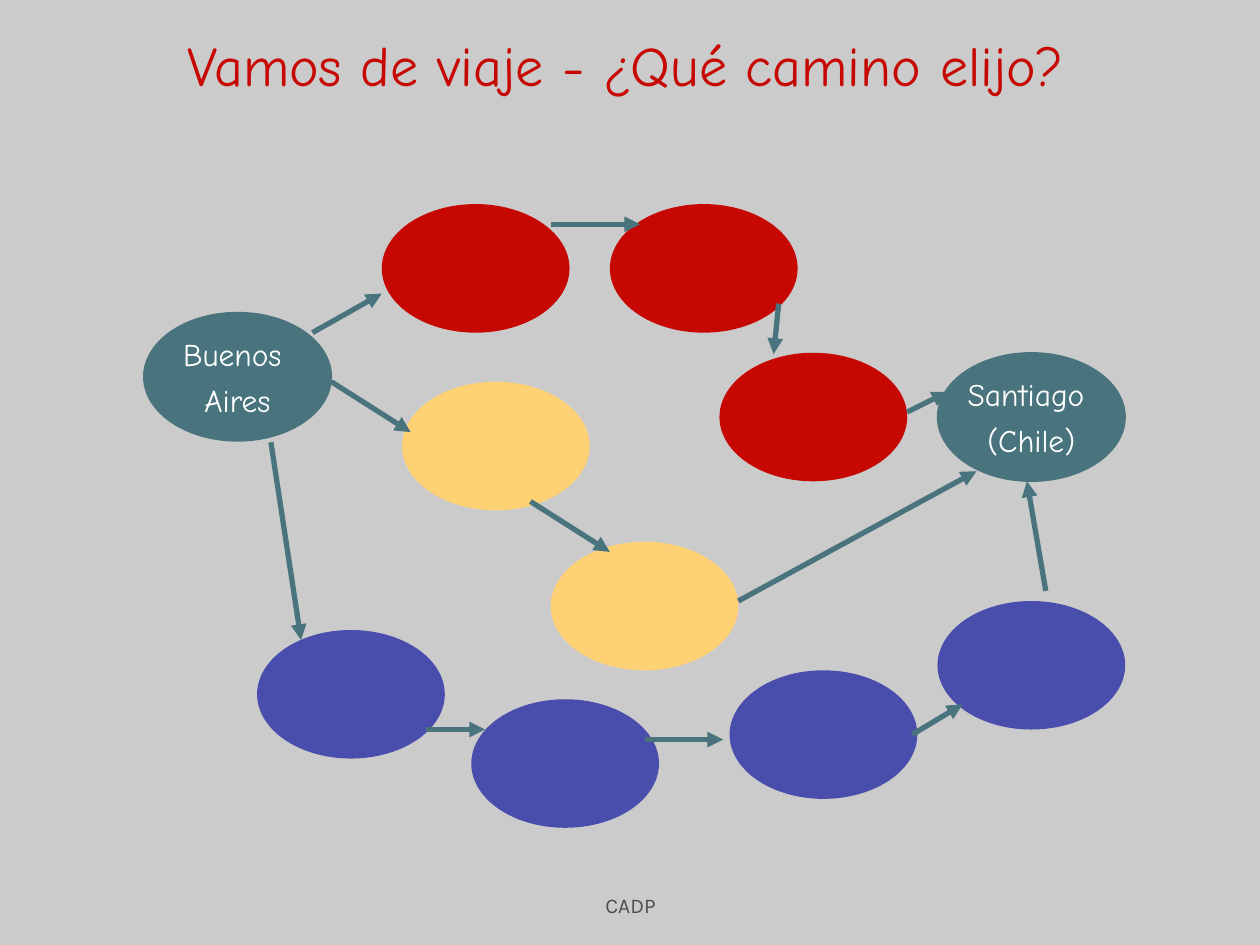
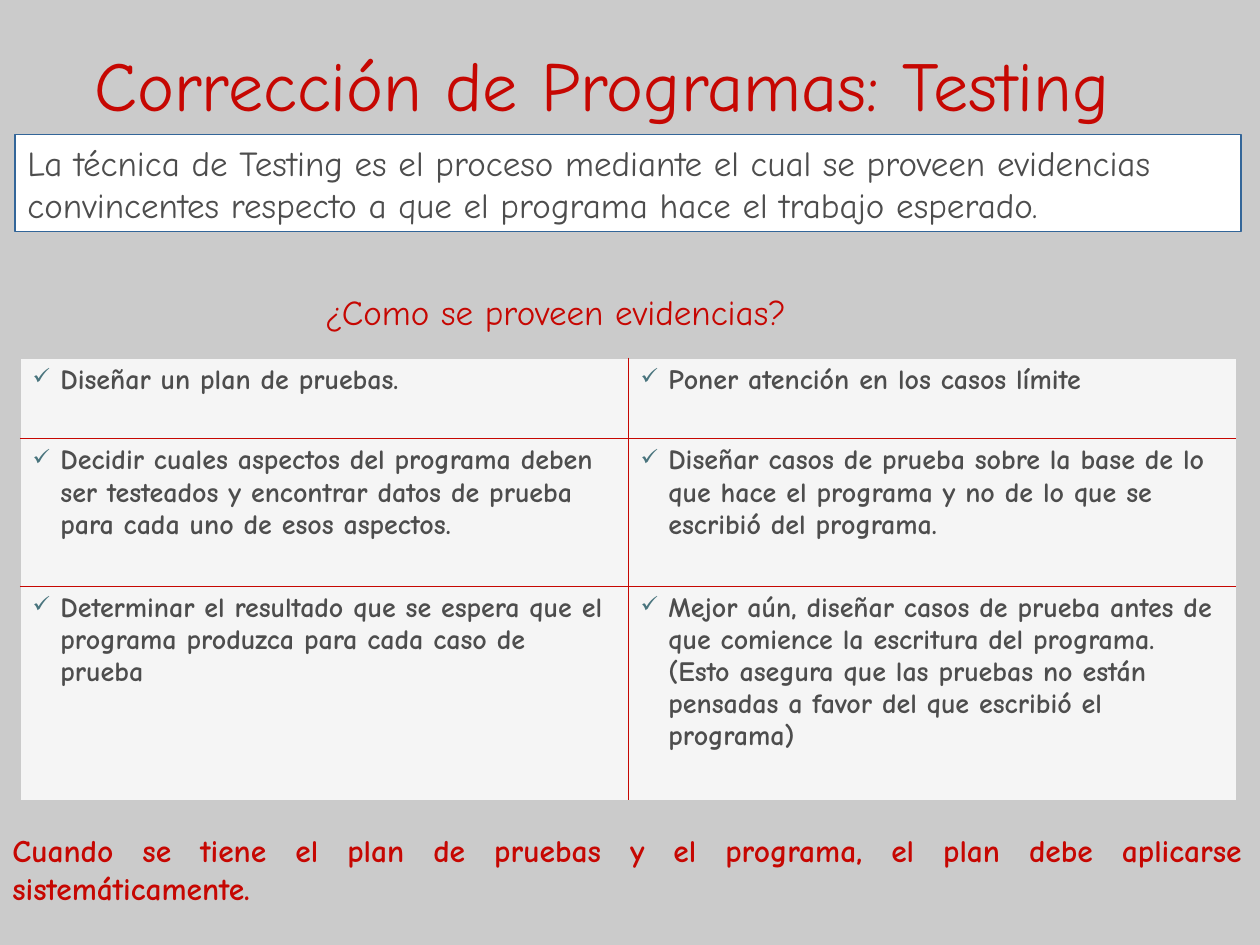
from lxml import etree
from pptx import Presentation
from pptx.dml.color import RGBColor
from pptx.enum.shapes import MSO_CONNECTOR, MSO_SHAPE
from pptx.enum.text import MSO_ANCHOR, PP_ALIGN
from pptx.oxml.ns import qn
from pptx.util import Inches, Pt

OVAL, RECTANGLE, STRAIGHT = MSO_SHAPE.OVAL, MSO_SHAPE.RECTANGLE, MSO_CONNECTOR.STRAIGHT
TOP, MIDDLE, BOTTOM = MSO_ANCHOR.TOP, MSO_ANCHOR.MIDDLE, MSO_ANCHOR.BOTTOM
LEFT, CENTER, JUSTIFY = PP_ALIGN.LEFT, PP_ALIGN.CENTER, PP_ALIGN.JUSTIFY

GRAY = RGBColor(0xCB, 0xCB, 0xCB)
RED = RGBColor(0xC6, 0x07, 0x02)
TEAL = RGBColor(0x49, 0x74, 0x7D)
YELLOW = RGBColor(0xFF, 0xD1, 0x75)
INDIGO = RGBColor(0x49, 0x4E, 0xAD)
INK = RGBColor(0x4D, 0x4D, 0x4D)
BLUE = RGBColor(0x33, 0x66, 0x99)
PAPER = RGBColor(0xF5, 0xF5, 0xF5)
WHITE = RGBColor(0xFF, 0xFF, 0xFF)
HAND, SANS = "Comic Neue", "Karla"

WIDTH, HEIGHT = 10, 7.5
CITY_SIZE = (1.49, 1.02)

ROUTE_TITLE = "Vamos de viaje - ¿Qué camino elijo?"
FOOTER = "CADP"
CITIES = [
    (1.14, 2.48, ["Buenos ", "Aires"]),
    (7.44, 2.8, ["Santiago ", "(Chile)"]),
]
STOPS = {
    RED: [(3.03, 1.62), (4.84, 1.62), (5.71, 2.8)],
    YELLOW: [(3.19, 3.03), (4.37, 4.3)],
    INDIGO: [(2.04, 5), (3.74, 5.55), (5.79, 5.32), (7.44, 4.77)],
}
ARROWS = [
    (2.48, 2.64, 3.03, 2.33), (4.37, 1.78, 5.08, 1.78),
    (6.18, 2.41, 6.14, 2.81), (7.2, 3.27, 7.52, 3.11),
    (2.63, 3.03, 3.26, 3.43), (4.21, 3.98, 4.84, 4.38), (5.86, 4.77, 7.75, 3.74),
    (2.15, 3.51, 2.39, 5.08), (3.38, 5.79, 3.85, 5.79), (5.12, 5.87, 5.74, 5.87),
    (7.24, 5.83, 7.64, 5.59), (8.3, 4.69, 8.15, 3.82),
]

TESTING_TITLE = "Corrección de Programas: Testing"
DEFINITION = ("La técnica de Testing es el proceso mediante el cual se proveen evidencias "
              "convincentes respecto a que el programa hace el trabajo esperado.")
QUESTION = "¿Como se proveen evidencias?"
PRACTICES = [
    ("Diseñar un plan de pruebas.",
     "Poner atención en los casos límite"),
    ("Decidir cuales aspectos del programa deben ser testeados y encontrar datos de prueba "
     "para cada uno de esos aspectos.",
     "Diseñar casos de prueba sobre la base de lo que hace el programa y no de lo que se "
     "escribió del programa."),
    ("Determinar el resultado que se espera que el programa produzca para cada caso de prueba",
     "Mejor aún, diseñar casos de prueba antes de que comience la escritura del programa. "
     "(Esto asegura que las pruebas no están pensadas a favor del que escribió el programa)"),
]
ROW_HEIGHTS = [0.64, 1.17, 1.7]
CONCLUSION = ("Cuando se tiene el plan de pruebas y el programa, el plan debe aplicarse "
              "sistemáticamente.")


def inches(values):
    return [Inches(value) for value in values]


def write(frame, lines, size, color, align=LEFT, anchor=TOP, font=HAND, bold=False,
          before=0, spacing=None, wrap=True):
    frame.word_wrap = wrap
    frame.vertical_anchor = anchor
    for index, line in enumerate(lines):
        paragraph = frame.paragraphs[0] if index == 0 else frame.add_paragraph()
        paragraph.alignment = align
        paragraph.space_before = Pt(before)
        if spacing:
            paragraph.line_spacing = spacing
        run = paragraph.add_run()
        run.text = line
        run.font.name, run.font.size, run.font.bold = font, Pt(size), bold
        run.font.color.rgb = color


def add_text(slide, box, text, size, color, **style):
    write(slide.shapes.add_textbox(*inches(box)).text_frame, [text], size, color, **style)


def add_filled(slide, kind, box, fill, line=None):
    shape = slide.shapes.add_shape(kind, *inches(box))
    shape.shadow.inherit = False
    shape.fill.solid()
    shape.fill.fore_color.rgb = fill
    if line is None:
        shape.line.fill.background()
    else:
        shape.line.color.rgb = line
        shape.line.width = Pt(0.75)
    return shape


def add_arrow(slide, ends):
    arrow = slide.shapes.add_connector(STRAIGHT, *inches(ends))
    arrow.line.color.rgb = TEAL
    arrow.line.width = Pt(3)
    etree.SubElement(arrow.line._get_or_add_ln(), qn("a:tailEnd"), type="triangle")
    etree.SubElement(arrow._element.spPr, qn("a:effectLst"))


def add_check(paragraph):
    properties = paragraph._p.get_or_add_pPr()
    indent = Inches(0.22)
    properties.set("marL", str(indent))
    properties.set("indent", str(-indent))
    color = etree.SubElement(properties, qn("a:buClr"))
    etree.SubElement(color, qn("a:srgbClr"), val=str(TEAL))
    etree.SubElement(properties, qn("a:buSzPct"), val="80000")
    etree.SubElement(properties, qn("a:buChar"), char="✓")


def set_borders(cell, colors):
    properties = cell._tc.get_or_add_tcPr()
    for index, (side, color) in enumerate(zip("LRTB", colors)):
        line = etree.Element(qn("a:ln" + side), w=str(Pt(0.45)))
        fill = etree.SubElement(line, qn("a:solidFill"))
        etree.SubElement(fill, qn("a:srgbClr"), val=str(color))
        properties.insert(index, line)


def add_practices(slide, left, top, width):
    rows, columns = len(PRACTICES), len(PRACTICES[0])
    box = inches((left, top, width, sum(ROW_HEIGHTS)))
    table = slide.shapes.add_table(rows, columns, *box).table
    table.first_row = table.horz_banding = False
    for row, texts in enumerate(PRACTICES):
        table.rows[row].height = Inches(ROW_HEIGHTS[row])
        for column, text in enumerate(texts):
            cell = table.cell(row, column)
            cell.fill.solid()
            cell.fill.fore_color.rgb = PAPER
            write(cell.text_frame, [text], 16, INK, bold=True)
            add_check(cell.text_frame.paragraphs[0])
            outer = (column == 0, column == columns - 1, row == 0, row == rows - 1)
            set_borders(cell, [GRAY if edge else RED for edge in outer])


def build_route(slide):
    add_text(slide, (0.77, 0.17, 8.4, 0.67), ROUTE_TITLE, 32, RED, align=CENTER, anchor=MIDDLE)
    add_text(slide, (3.42, 6.83, 3.17, 0.5), FOOTER, 12, INK,
             align=CENTER, anchor=BOTTOM, font=SANS)
    for left, top, name in CITIES:
        city = add_filled(slide, OVAL, (left, top, *CITY_SIZE), TEAL, TEAL)
        write(city.text_frame, name, 18, WHITE, align=CENTER, anchor=MIDDLE,
              before=4.5, wrap=False)
    for color, places in STOPS.items():
        for place in places:
            add_filled(slide, OVAL, (*place, *CITY_SIZE), color)
    for ends in ARROWS:
        add_arrow(slide, ends)


def build_testing(slide):
    add_text(slide, (0.65, 0.17, 8.96, 0.75), TESTING_TITLE, 40, RED,
             align=JUSTIFY, anchor=MIDDLE, before=10, spacing=1.35)
    panel = add_filled(slide, RECTANGLE, (0.12, 1.07, 9.73, 0.77), WHITE, BLUE)
    write(panel.text_frame, [DEFINITION], 20, INK, before=5)
    add_text(slide, (2.48, 2.14, 4.49, 0.55), QUESTION, 20, RED,
             align=JUSTIFY, before=5, spacing=1.35)
    add_practices(slide, 0.16, 2.84, 9.65)
    add_text(slide, (0, 6.55, 9.96, 0.7), CONCLUSION, 18, RED,
             align=JUSTIFY, bold=True, before=4.5)


def main():
    presentation = Presentation()
    presentation.slide_width, presentation.slide_height = inches((WIDTH, HEIGHT))
    background = presentation.slide_master.background.fill
    background.solid()
    background.fore_color.rgb = GRAY
    for build in (build_route, build_testing):
        build(presentation.slides.add_slide(presentation.slide_layouts[6]))
    presentation.save("out.pptx")


if __name__ == "__main__":
    main()
